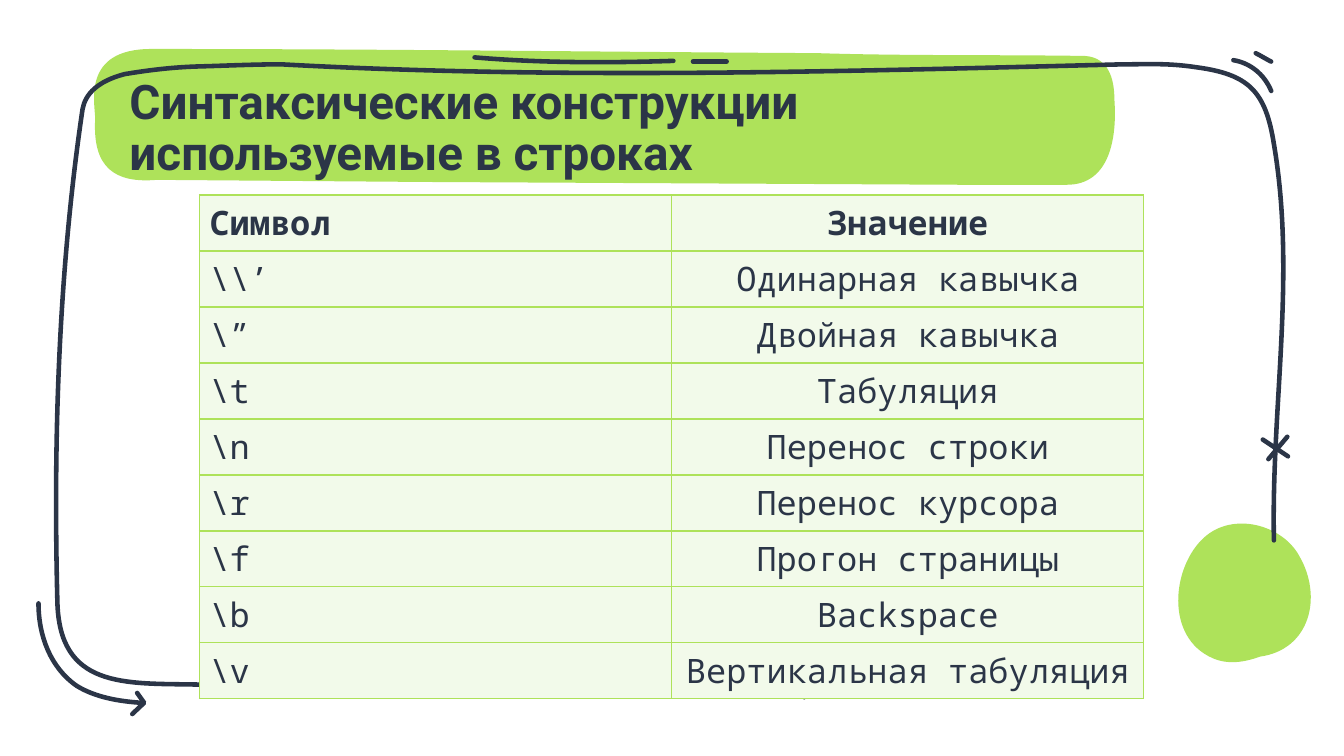
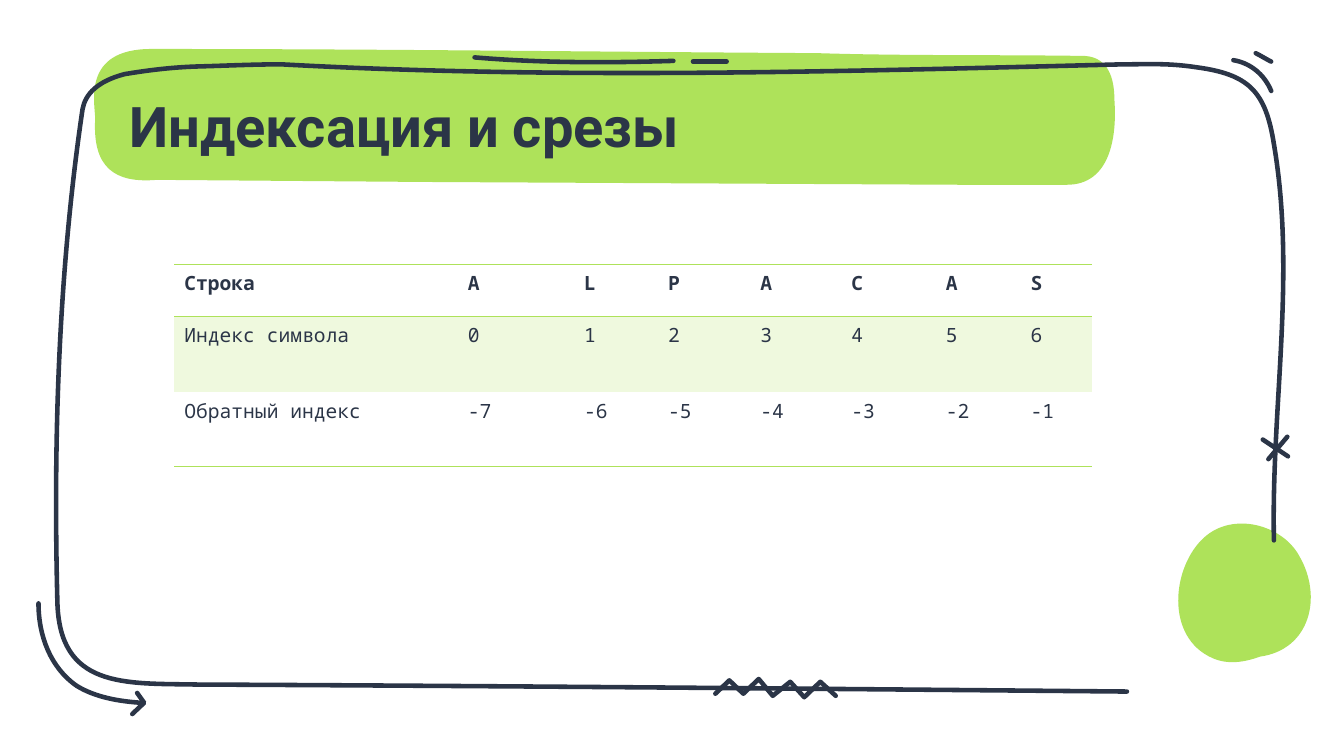
"""Builds two slides about Python strings: escape sequences and indexing."""
from lxml import etree
from pptx import Presentation
from pptx import util as u
from pptx.dml import color
from pptx.enum import text
from pptx.oxml import ns

GREEN, PALE, MIST, INK = "AEE25A", "F2FAEA", "EFF9DE", "2B3547"
STROKE = 3.25
NO_STYLE = "{2D5ABB26-0587-4C30-8999-92F81FD0307C}"
SIDES = {"left": "a:lnL", "right": "a:lnR", "top": "a:lnT", "bottom": "a:lnB"}

BLOBS = [
    [[(928, 397), (916, 375, 881, 365, 860, 384), (837, 405, 832, 455, 866, 470),
      (877, 475, 889, 473, 900, 469), (936, 464, 945, 426, 928, 397)]],
    [[(796, 71), (796, 55, 791, 41, 775, 40), (711, 39, 647, 40, 584, 38),
      (418, 37, 274, 35, 108, 35), (58, 35, 68, 74, 68, 85),
      (66, 120, 82, 131, 112, 128.5), (303, 130), (687, 132), (762, 132),
      (793, 132, 798, 98, 796, 71)]],
]
FRAME = [[
    (910, 386), (908, 290, 926, 197, 910, 103), (904, 65, 892, 53, 854, 48),
    (834, 45, 821, 46, 802, 46), (603, 51, 402, 57, 201, 46),
    (181, 46, 161, 47, 142, 47.5), (124, 48, 107, 50, 89, 53),
    (70, 58, 61, 67, 59, 78), (42, 193, 38, 312, 41, 429),
    (42, 492, 89, 488, 140, 489), (360, 490, 585, 492, 805, 494),
]]
DOODLES = [
    [[(339, 41), (386, 45, 433, 45, 481, 43.5)]],
    [[(495, 44), (519, 44)]],
    [[(881, 43), (893, 45, 903, 53, 908, 65)]],
    [[(27.5, 431), (27.5, 454, 36, 477, 55, 490), (68, 498, 85, 501, 101, 502)],
     [(98, 495), (103, 502), (94.5, 510)]],
    [[(902, 314), (920, 326)], [(919.5, 312), (906, 328)]],
    [[(511, 495.5), (521, 486), (531, 495.5), (542, 485), (552, 497),
      (564.5, 487), (574.5, 498), (586, 487), (597, 497)]],
    [[(897, 38), (901, 40, 904, 42, 908, 44)]],
]

SLIDES = [
    {
        "title": "Синтаксические конструкции используемые в строках",
        "title_size": 34,
        "origin": (142.5, 139.25),
        "columns": [337.25] * 2,
        "heights": [40] * 9,
        "size": 24,
        "anchor": text.MSO_ANCHOR.MIDDLE,
        "aligns": [text.PP_ALIGN.LEFT, text.PP_ALIGN.CENTER],
        "fills": [PALE] * 9,
        "borders": [tuple(SIDES)] * 9,
        "rows": [
            ("Символ", "Значение"),
            (r"\\’", "Одинарная кавычка"),
            (r"\”", "Двойная кавычка"),
            (r"\t", "Табуляция"),
            (r"\n", "Перенос строки"),
            (r"\r", "Перенос курсора"),
            (r"\f", "Прогон страницы"),
            (r"\b", "Backspace"),
            (r"\v", "Вертикальная табуляция"),
        ],
    },
    {
        "title": "Индексация и срезы",
        "title_size": 40,
        "origin": (124.5, 188.75),
        "columns": [202.5, 83, 60, 66, 65, 67.5, 60.5, 51],
        "heights": [37.25, 54.25, 53],
        "size": 14,
        "anchor": text.MSO_ANCHOR.TOP,
        "aligns": [text.PP_ALIGN.LEFT] * 8,
        "fills": [None, MIST, None],
        "borders": [("top", "bottom"), ("top",), ("bottom",)],
        "rows": [
            ("Строка", *"ALPACAS"),
            ("Индекс символа", *map(str, range(7))),
            ("Обратный индекс", *map(str, range(-7, 0))),
        ],
    },
]


def rgb(value):
    """Turn a hex string into a colour."""
    return color.RGBColor.from_string(value)


def paint(target, value):
    """Fill a shape or cell, or clear it when no colour is given."""
    if value is None:
        target.fill.background()
    else:
        target.fill.solid()
        target.fill.fore_color.rgb = rgb(value)


def flatten(outline, steps=24):
    """Sample lines and cubic curves to find how far they reach."""
    points = [outline[0]]
    for segment in outline[1:]:
        if len(segment) == 2:
            points.append(segment)
            continue
        knots = [points[-1], segment[:2], segment[2:4], segment[4:]]
        for step in range(1, steps + 1):
            t = step / steps
            weights = ((1 - t) ** 3, 3 * t * (1 - t) ** 2, 3 * t * t * (1 - t), t ** 3)
            points.append(tuple(sum(w * knot[axis] for w, knot in zip(weights, knots))
                                for axis in (0, 1)))
    return [(u.Pt(x), u.Pt(y)) for x, y in points]


def trace(shape, outlines, closed):
    """Write true lines and curves into the geometry of a freeform."""
    track = shape._element.spPr.find(".//" + ns.qn("a:path"))
    for child in list(track):
        track.remove(child)
    for outline in outlines:
        for index, segment in enumerate(outline):
            tag = "a:moveTo" if index == 0 else "a:lnTo"
            if len(segment) == 6:
                tag = "a:cubicBezTo"
            command = etree.SubElement(track, ns.qn(tag))
            for x, y in zip(segment[::2], segment[1::2]):
                etree.SubElement(command, ns.qn("a:pt"), x=str(u.Pt(x) - shape.left),
                                 y=str(u.Pt(y) - shape.top))
        if closed:
            etree.SubElement(track, ns.qn("a:close"))


def draw_outline(page, outlines, closed):
    """Draw a closed green blob or open ink strokes with round ends."""
    points = [point for outline in outlines for point in flatten(outline)]
    builder = page.shapes.build_freeform(*points[0], scale=1.0)
    builder.add_line_segments(points[1:], close=closed)
    shape = builder.convert_to_shape()
    trace(shape, outlines, closed)
    shape.shadow.inherit = False
    paint(shape, GREEN if closed else None)
    if closed:
        shape.line.fill.background()
        return
    shape.line.color.rgb = rgb(INK)
    shape.line.width = u.Pt(STROKE)
    line = shape.line._get_or_add_ln()
    line.set("cap", "rnd")
    etree.SubElement(line, ns.qn("a:round"))


def write(frame, words, font, size, bold, **layout):
    """Write one styled paragraph into a text frame."""
    para = frame.paragraphs[0]
    for name, value in layout.items():
        setattr(para, name, value)
    span = para.add_run()
    span.text = words
    for name, value in {"name": font, "size": u.Pt(size), "bold": bold}.items():
        setattr(span.font, name, value)
    span.font.color.rgb = rgb(INK)


def add_title(page, words, size):
    """Place the slide title over the green band."""
    frame = page.shapes.add_textbox(*map(u.Pt, (92.5, 71.5, 675, 42))).text_frame
    values = {"word_wrap": True, "vertical_anchor": text.MSO_ANCHOR.MIDDLE,
              "margin_left": 0, "margin_right": 0, "margin_top": 0, "margin_bottom": 0}
    for name, value in values.items():
        setattr(frame, name, value)
    write(frame, words, "Roboto", size, True, line_spacing=0.9)


def add_borders(cell, sides):
    """Rule the named sides of a cell in green and clear the others."""
    properties = cell._tc.get_or_add_tcPr()
    for position, (side, tag) in enumerate(SIDES.items()):
        line = etree.Element(ns.qn(tag), w=str(u.Pt(1)))
        if side in sides:
            fill = etree.SubElement(line, ns.qn("a:solidFill"))
            etree.SubElement(fill, ns.qn("a:srgbClr"), val=GREEN)
        else:
            etree.SubElement(line, ns.qn("a:noFill"))
        properties.insert(position, line)


def add_grid(page, data):
    """Build the table of a slide from its data."""
    columns, heights, rows = data["columns"], data["heights"], data["rows"]
    area = (*data["origin"], sum(columns), sum(heights))
    table = page.shapes.add_table(len(rows), len(columns), *map(u.Pt, area)).table
    table.horz_banding = False
    table._tbl.tblPr.find(ns.qn("a:tableStyleId")).text = NO_STYLE
    for column, width in zip(table.columns, columns):
        column.width = u.Pt(width)
    for r, words in enumerate(rows):
        table.rows[r].height = u.Pt(heights[r])
        for c, word in enumerate(words):
            cell = table.cell(r, c)
            cell.vertical_anchor = data["anchor"]
            paint(cell, data["fills"][r])
            add_borders(cell, data["borders"][r])
            write(cell.text_frame, word, "Noto Sans Mono", data["size"], r == 0,
                  alignment=data["aligns"][c])


def main():
    """Build and save the deck."""
    deck = Presentation()
    deck.slide_width, deck.slide_height = u.Pt(960), u.Pt(540)
    for data in SLIDES:
        page = deck.slides.add_slide(deck.slide_layouts[6])
        for blob in BLOBS:
            draw_outline(page, blob, closed=True)
        for stroke in [FRAME, *DOODLES]:
            draw_outline(page, stroke, closed=False)
        add_title(page, data["title"], data["title_size"])
        add_grid(page, data)
    deck.save("out.pptx")


if __name__ == "__main__":
    main()
